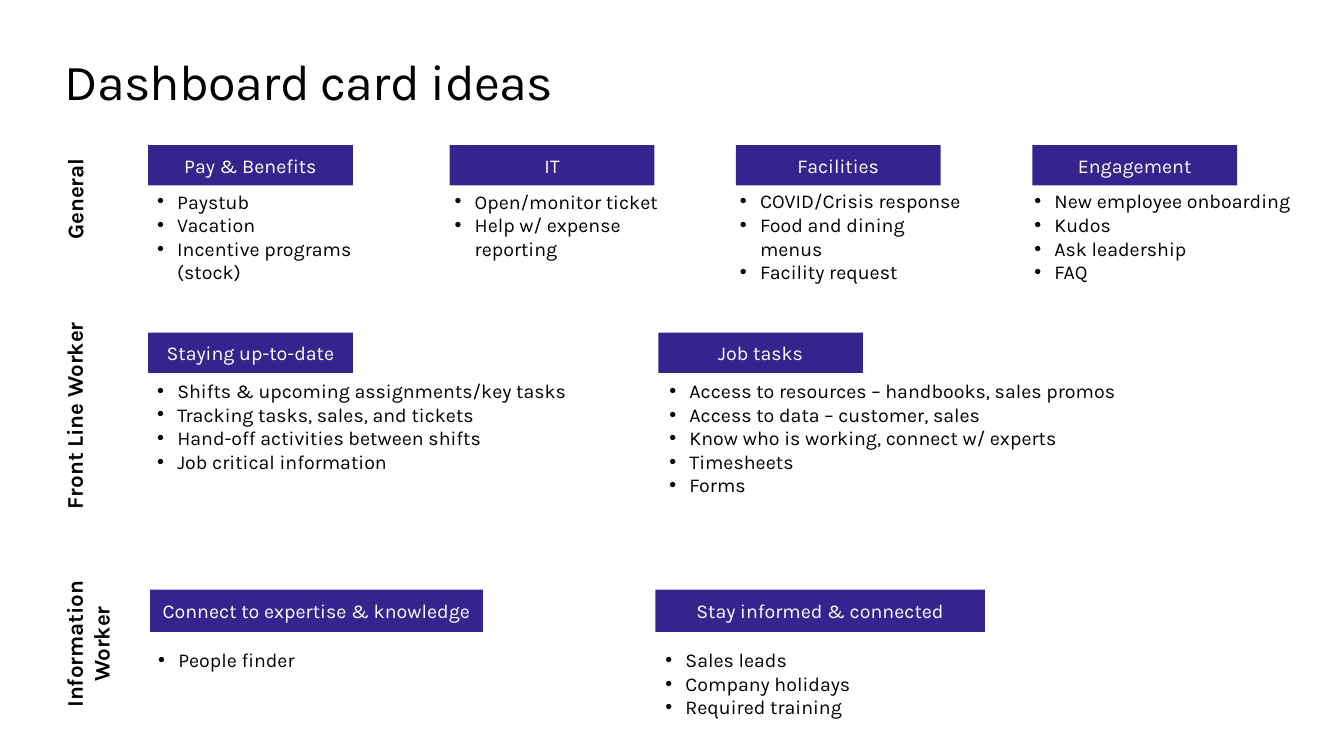
from dataclasses import dataclass

from lxml.etree import SubElement
from pptx import Presentation
from pptx.dml.color import RGBColor
from pptx.enum.shapes import MSO_SHAPE
from pptx.enum.text import MSO_ANCHOR, PP_ALIGN
from pptx.oxml.ns import qn
from pptx.util import Inches, Pt


@dataclass(frozen=True)
class Theme:
    """Colours, font and type sizes of the slide."""
    font: str = "Karla"
    ink: str = "000000"
    card: str = "34258E"
    card_ink: str = "FFFFFF"
    title: int = 36
    label: int = 16
    body: int = 14


@dataclass(frozen=True)
class Card:
    """A heading with its ideas, placed in grid columns."""
    heading: str
    left: float
    width: float
    list_left: float
    list_width: float
    lines: int
    ideas: tuple


@dataclass(frozen=True)
class Audience:
    """A row of cards with its sideways label, placed in grid units."""
    name: str
    label_box: tuple
    card_top: float
    card_height: float
    list_top: float
    cards: tuple


COLUMNS, ROWS = 133.3, 75
LINE_ROWS = 2.35

AUDIENCES = (
    Audience("General", (-0.3, 17.9, 15.4, 3.7), 14.4, 4, 18.3, (
        Card("Pay & Benefits", 14.7, 20.3, 14.6, 27, 3,
             ("Paystub", "Vacation", "Incentive programs (stock)")),
        Card("IT", 44.6, 20.3, 44.1, 24.6, 3,
             ("Open/monitor ticket", "Help w/ expense reporting")),
        Card("Facilities", 73, 20.3, 72.4, 24.6, 4,
             ("COVID/Crisis response", "Food and dining menus", "Facility request")),
        Card("Engagement", 102.4, 20.3, 101.6, 27.7, 4,
             ("New employee onboarding", "Kudos", "Ask leadership", "FAQ")),
    )),
    Audience("Front Line Worker", (-3.8, 39.4, 22.3, 3.7), 33, 4, 37.1, (
        Card("Staying up-to-date", 14.7, 20.3, 14.6, 44.8, 4,
             ("Shifts & upcoming assignments/key tasks",
              "Tracking tasks, sales, and tickets",
              "Hand-off activities between shifts",
              "Job critical information")),
        Card("Job tasks", 65.3, 20.3, 65.4, 53.3, 5,
             ("Access to resources – handbooks, sales promos",
              "Access to data – customer, sales",
              "Know who is working, connect w/ experts",
              "Timesheets", "Forms")),
    )),
    Audience("Information Worker", (0.5, 60.7, 16.4, 6.4), 58.5, 4.2, 63.8, (
        Card("Connect to expertise & knowledge", 14.9, 33, 14.7, 26.7, 2,
             ("People finder",)),
        Card("Stay informed & connected", 65, 32.7, 65, 30.7, 3,
             ("Sales leads", "Company holidays", "Required training")),
    )),
)


def write(frame, *texts, font, size, color, bold=False, align=PP_ALIGN.LEFT,
          anchor=MSO_ANCHOR.TOP, bullet=None, spacing=None):
    """Fill a text frame with one formatted paragraph per text."""
    frame.word_wrap = True
    frame.vertical_anchor = anchor
    for index, text in enumerate(texts):
        paragraph = frame.add_paragraph() if index else frame.paragraphs[0]
        paragraph.alignment = align
        if bullet:
            properties = paragraph._p.get_or_add_pPr()
            properties.set("marL", str(Inches(0.2)))
            properties.set("indent", str(Inches(-0.2)))
            SubElement(properties, qn("a:buFont")).set("typeface", "Arial")
            SubElement(properties, qn("a:buChar")).set("char", bullet)
        run = paragraph.add_run()
        run.text = text
        run.font.name = font
        run.font.size = Pt(size)
        run.font.bold = bold
        run.font.color.rgb = RGBColor.from_string(color)
        if spacing is not None:
            run._r.get_or_add_rPr().set("spc", str(round(spacing * 100)))


class Board:
    """Draws elements on one slide in a shared style."""

    def __init__(self, deck, theme):
        """Add a title-only slide and measure its grid."""
        self.theme = theme
        self.slide = deck.slides.add_slide(deck.slide_layouts[5])
        self.column = deck.slide_width / COLUMNS
        self.row = deck.slide_height / ROWS

    def place(self, left, top, width, height):
        """Turn grid units into slide lengths."""
        return (round(left * self.column), round(top * self.row),
                round(width * self.column), round(height * self.row))

    def title(self, text, *box):
        """Move and fill the title placeholder."""
        title = self.slide.shapes.title
        title.left, title.top, title.width, title.height = self.place(*box)
        frame = title.text_frame
        frame.margin_left = frame.margin_right = 0
        frame.margin_top = frame.margin_bottom = 0
        write(frame, text, font=self.theme.font, size=self.theme.title,
              color=self.theme.ink, spacing=-0.5)

    def label(self, text, *box):
        """Add a bold label that reads upwards."""
        label = self.slide.shapes.add_textbox(*self.place(*box))
        label.rotation = 270
        write(label.text_frame, text, font=self.theme.font, size=self.theme.label,
              color=self.theme.ink, bold=True, align=PP_ALIGN.CENTER)

    def heading(self, text, *box):
        """Add a filled card heading."""
        heading = self.slide.shapes.add_shape(MSO_SHAPE.RECTANGLE, *self.place(*box))
        heading.shadow.inherit = False
        heading.fill.solid()
        heading.fill.fore_color.rgb = RGBColor.from_string(self.theme.card)
        heading.line.fill.background()
        write(heading.text_frame, text, font=self.theme.font, size=self.theme.body,
              color=self.theme.card_ink, align=PP_ALIGN.CENTER, anchor=MSO_ANCHOR.MIDDLE)

    def ideas(self, texts, *box):
        """Add a bulleted list."""
        ideas = self.slide.shapes.add_textbox(*self.place(*box))
        write(ideas.text_frame, *texts, font=self.theme.font, size=self.theme.body,
              color=self.theme.ink, bullet="•")

    def audience(self, audience):
        """Add one labelled row of cards."""
        self.label(audience.name, *audience.label_box)
        for card in audience.cards:
            self.heading(card.heading, card.left, audience.card_top,
                         card.width, audience.card_height)
            self.ideas(card.ideas, card.list_left, audience.list_top,
                       card.list_width, 1 + LINE_ROWS * card.lines)


def main():
    """Build and save the slide."""
    deck = Presentation()
    deck.slide_width, deck.slide_height = Inches(13.33), Inches(7.5)
    board = Board(deck, Theme())
    board.title("Dashboard card ideas", 6.4, 5, 120.5, 6.1)
    for audience in AUDIENCES:
        board.audience(audience)
    deck.save("out.pptx")


if __name__ == "__main__":
    main()
